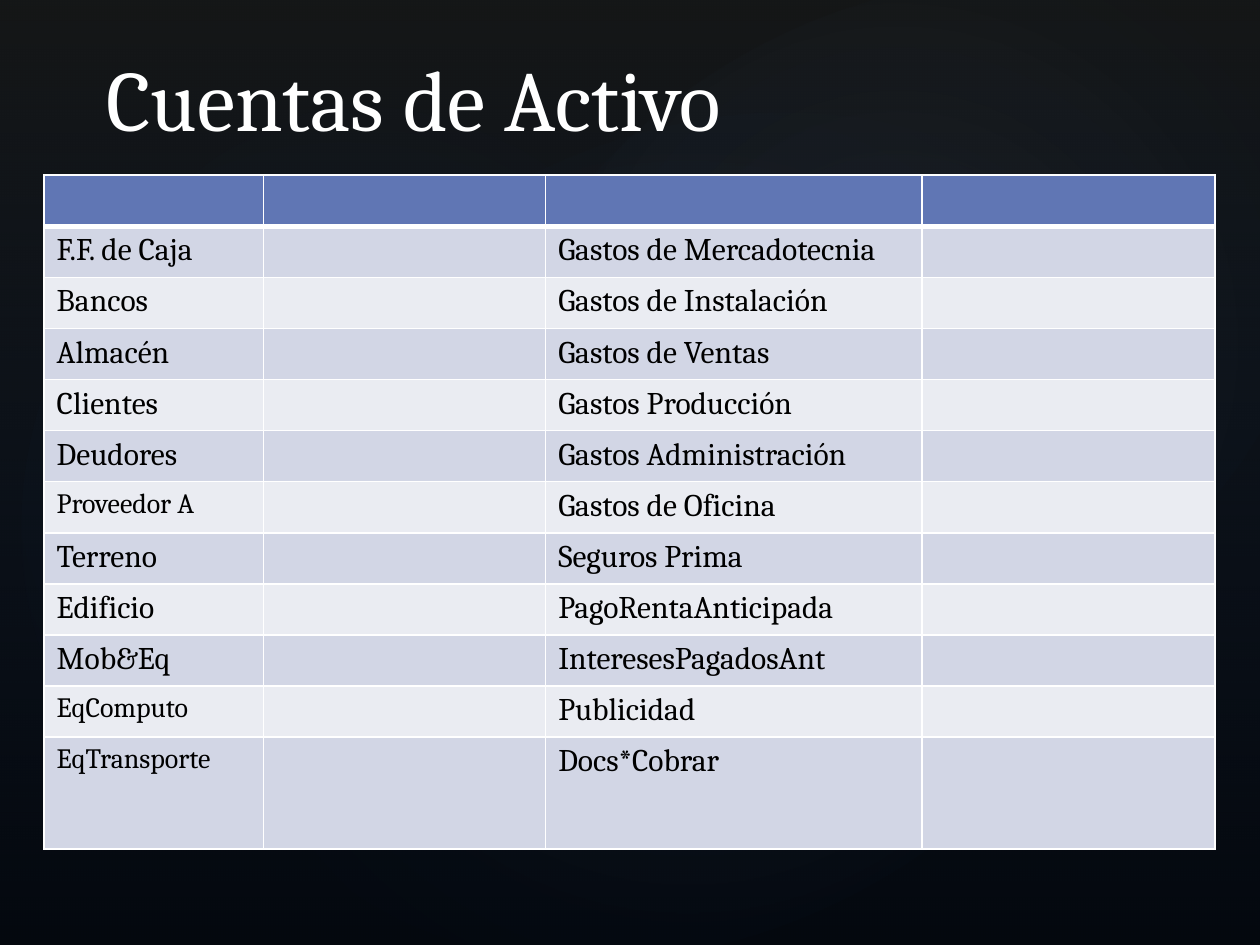
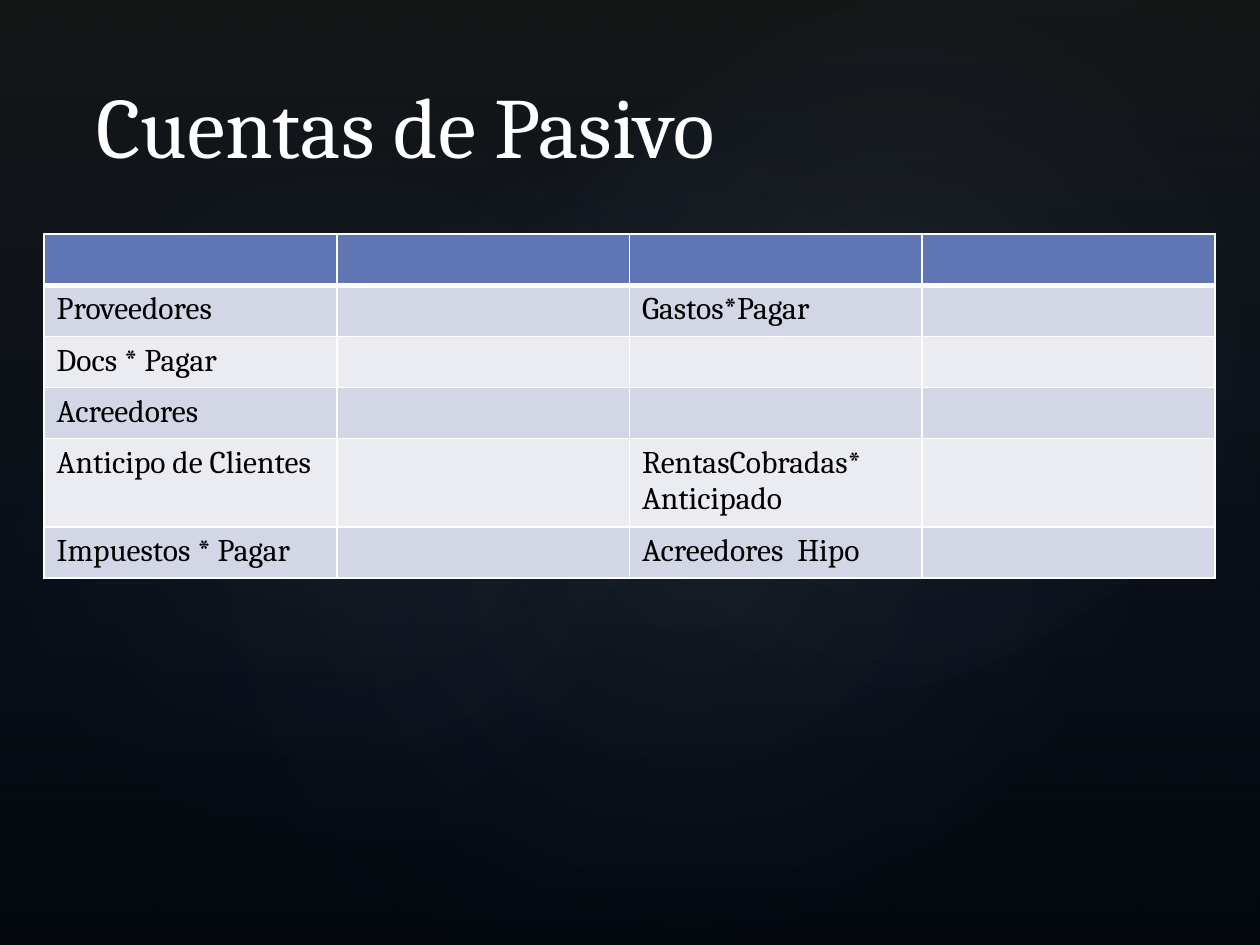
import pptx
import pptx.dml.color
import pptx.enum.shapes
import pptx.enum.text
import pptx.oxml.ns
import pptx.util
from lxml import etree

Cm = pptx.util.Cm
Pt = pptx.util.Pt
qn = pptx.oxml.ns.qn

# Content: each row holds the names for the first and third columns
ACCOUNT_SLIDES = [
    {
        "title": "Cuentas de Activo",
        "title_box": (1.9, 0.91, 20.96, 2.21),
        "table_top": 3.53,
        "column_widths": [4.42, 5.69, 7.59, 5.9],
        "last_row_height": 2.26,
        "accounts": [
            ("F.F. de Caja", "Gastos de Mercadotecnia"),
            ("Bancos", "Gastos de Instalación"),
            ("Almacén", "Gastos de Ventas"),
            ("Clientes", "Gastos Producción"),
            ("Deudores", "Gastos Administración"),
            ("Proveedor A", "Gastos de Oficina"),
            ("Terreno", "Seguros Prima"),
            ("Edificio", "PagoRentaAnticipada"),
            ("Mob&Eq", "InteresesPagadosAnt"),
            ("EqComputo", "Publicidad"),
            ("EqTransporte", "Docs*Cobrar"),
        ],
    },
    {
        "title": "Cuentas de Pasivo",
        "title_box": (1.7, 1.12, 20.96, 2.54),
        "table_top": 4.72,
        "column_widths": [5.9] * 4,
        "last_row_height": 1.03,
        "accounts": [
            ("Proveedores", "Gastos*Pagar"),
            ("Docs * Pagar", ""),
            ("Acreedores", ""),
            ("Anticipo de Clientes", "RentasCobradas* Anticipado"),
            ("Impuestos * Pagar", "Acreedores  Hipo"),
        ],
    },
]
SMALL_ACCOUNTS = {"Proveedor A", "EqComputo", "EqTransporte"}

# Shared look
FONT = "Cambria"
BLACK, WHITE = "000000", "FFFFFF"
HEADER, BANDS = "6076B4", ("D2D6E5", "EAECF2")
SLIDE_WIDTH, SLIDE_HEIGHT = 25.4, 19.05
TABLE_LEFT, ROW_HEIGHT = 0.89, 1.03

# Gradient stops: position %, colour, opacity %
VEIL = [(0, "3B4042", 36), (100, "2F5897", 10)]
# Glows: box, rotation, opacity % at the centre
GLOWS = [
    ((3.81, 2.9, 20.12, 15.85), 328.7, 7),
    ((-0.76, 3.25, 15.39, 12.45), 294.3, 8),
    ((9.09, 0.33, 18.01, 13.21), 328.7, 8),
]


def rgb(value):
    return pptx.dml.color.RGBColor.from_string(value)


def add_run(paragraph, text, size, colour):
    run = paragraph.add_run()
    run.text = text
    run.font.name = FONT
    run.font.size = Pt(size)
    run.font.color.rgb = rgb(colour)


def add_gradient_shape(slide, kind, box, stops, rotation=0, radial=False):
    shape = slide.shapes.add_shape(kind, *map(Cm, box))
    shape.rotation = rotation
    shape.shadow.inherit = False
    shape.line.fill.background()
    gradient = etree.Element(qn("a:gradFill"), rotWithShape="1")
    stop_list = etree.SubElement(gradient, qn("a:gsLst"))
    for position, colour, opacity in stops:
        stop = etree.SubElement(stop_list, qn("a:gs"), pos=str(position * 1000))
        tint = etree.SubElement(stop, qn("a:srgbClr"), val=colour)
        etree.SubElement(tint, qn("a:alpha"), val=str(opacity * 1000))
    if radial:
        circle = etree.SubElement(gradient, qn("a:path"), path="circle")
        etree.SubElement(circle, qn("a:fillToRect"),
                         dict.fromkeys("ltrb", "50000"))
    else:
        etree.SubElement(gradient, qn("a:lin"), ang="5400000", scaled="0")
    shape.element.spPr.find(qn("a:prstGeom")).addnext(gradient)


def add_backdrop(slide):
    slide.background.fill.solid()
    slide.background.fill.fore_color.rgb = rgb(BLACK)
    shapes = pptx.enum.shapes.MSO_SHAPE
    add_gradient_shape(slide, shapes.RECTANGLE,
                       (0, 0, SLIDE_WIDTH, SLIDE_HEIGHT), VEIL)
    for box, rotation, opacity in GLOWS:
        stops = [(0, "ACB3B6", opacity), (58, "2F5897", 0)]
        add_gradient_shape(slide, shapes.OVAL, box, stops, rotation, radial=True)


def add_title(slide, text, box):
    frame = slide.shapes.add_textbox(*map(Cm, box)).text_frame
    frame.word_wrap = True
    frame.vertical_anchor = pptx.enum.text.MSO_ANCHOR.BOTTOM
    add_run(frame.paragraphs[0], text, 49, WHITE)


def style_cell(cell, fill, top=1, bottom=1):
    properties = cell._tc.get_or_add_tcPr()
    for side, width in (("L", 1), ("R", 1), ("T", top), ("B", bottom)):
        border = etree.SubElement(properties, qn(f"a:ln{side}"),
                                  w=str(Pt(width)))
        paint = etree.SubElement(border, qn("a:solidFill"))
        etree.SubElement(paint, qn("a:srgbClr"), val=WHITE)
    cell.fill.solid()
    cell.fill.fore_color.rgb = rgb(fill)


def add_accounts_table(slide, content):
    widths, accounts = content["column_widths"], content["accounts"]
    heights = [ROW_HEIGHT] * len(accounts) + [content["last_row_height"]]
    table = slide.shapes.add_table(
        len(heights), len(widths), Cm(TABLE_LEFT), Cm(content["table_top"]),
        Cm(sum(widths)), Cm(sum(heights))).table
    for column, width in zip(table.columns, widths):
        column.width = Cm(width)
    for row, height in zip(table.rows, heights):
        row.height = Cm(height)

    # Header, then alternating bands; a thick rule divides them
    for cell in table.rows[0].cells:
        style_cell(cell, HEADER, bottom=3)
    for number, (left_name, right_name) in enumerate(accounts, start=1):
        names = (left_name, "", right_name, "")
        for cell, name in zip(table.rows[number].cells, names):
            style_cell(cell, BANDS[(number - 1) % 2], top=3 if number == 1 else 1)
            if name:
                size = 16 if name in SMALL_ACCOUNTS else 18
                add_run(cell.text_frame.paragraphs[0], name, size, BLACK)


def main():
    deck = pptx.Presentation()
    deck.slide_width, deck.slide_height = Cm(SLIDE_WIDTH), Cm(SLIDE_HEIGHT)
    for content in ACCOUNT_SLIDES:
        slide = deck.slides.add_slide(deck.slide_layouts[6])
        add_backdrop(slide)
        add_accounts_table(slide, content)
        add_title(slide, content["title"], content["title_box"])
    deck.save("out.pptx")


if __name__ == "__main__":
    main()
